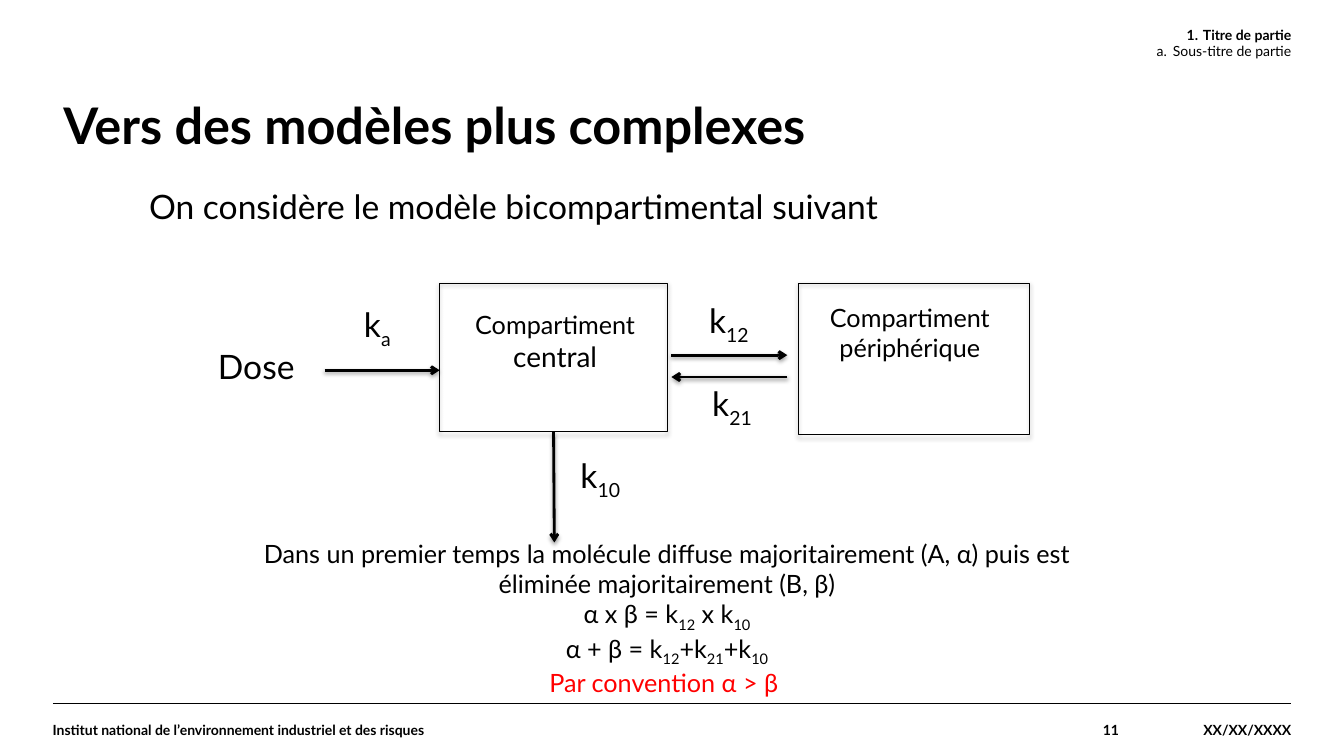
from lxml.etree import SubElement
from pptx import Presentation
from pptx.dml.color import RGBColor
from pptx.enum.shapes import MSO_CONNECTOR, MSO_SHAPE
from pptx.enum.text import MSO_ANCHOR, MSO_AUTO_SIZE, PP_ALIGN
from pptx.oxml.ns import qn
from pptx.util import Cm, Pt

FONT = "Lato"
BLACK, RED = "000000", "FF0000"
LEFT, CENTER, RIGHT = PP_ALIGN.LEFT, PP_ALIGN.CENTER, PP_ALIGN.RIGHT


def color(hex_code):
    return RGBColor.from_string(hex_code)


def write(paragraph, text, size=24, bold=False, ink=BLACK, align=CENTER):
    """Add text to a paragraph; parts between underscores are subscripts."""
    paragraph.alignment = align
    for position, part in enumerate(text.split("_")):
        if not part:
            continue
        run = paragraph.add_run()
        run.text = part
        run.font.name, run.font.size, run.font.bold = FONT, Pt(size), bold
        run.font.color.rgb = color(ink)
        if position % 2:
            run._r.get_or_add_rPr().set("baseline", "-25000")


def set_margins(frame, margin):
    frame.margin_left = frame.margin_right = margin
    frame.margin_top = frame.margin_bottom = margin


def add_label(slide, left, top, width, height, text="", **format_):
    """Add a wrapping text box that grows with its text."""
    box = slide.shapes.add_textbox(Cm(left), Cm(top), Cm(width), Cm(height))
    frame = box.text_frame
    frame.word_wrap = True
    frame.auto_size = MSO_AUTO_SIZE.SHAPE_TO_FIT_TEXT
    write(frame.paragraphs[0], text, **format_)
    return frame


def add_margin_text(slide, left, top, width, text="", **format_):
    """Add a small text without insets, for the header and footer."""
    frame = add_label(slide, left, top, width, 1.32, text, size=10, **format_)
    frame.auto_size = MSO_AUTO_SIZE.NONE
    frame.vertical_anchor = MSO_ANCHOR.MIDDLE
    set_margins(frame, 0)
    return frame


def number_paragraph(paragraph, scheme):
    properties = paragraph._p.get_or_add_pPr()
    properties.set("marL", str(Cm(0.41)))
    properties.set("indent", str(-Cm(0.41)))
    SubElement(properties, qn("a:buFont"), typeface="+mj-lt")
    SubElement(properties, qn("a:buAutoNum"), type=scheme)


def add_shadow(element, opacity, distance):
    effects = SubElement(element.spPr, qn("a:effectLst"))
    shadow = SubElement(effects, qn("a:outerShdw"), blurRad=str(Pt(3.1)),
                        dist=str(Pt(distance)), dir="5400000", rotWithShape="0")
    tint = SubElement(shadow, qn("a:srgbClr"), val=BLACK)
    SubElement(tint, qn("a:alpha"), val=str(opacity * 1000))


def add_compartment(slide, left, top, width, height):
    compartment = slide.shapes.add_shape(
        MSO_SHAPE.RECTANGLE, Cm(left), Cm(top), Cm(width), Cm(height))
    compartment.fill.background()
    compartment.line.color.rgb = color(BLACK)
    compartment.line.width = Pt(0.75)
    add_shadow(compartment._element, 35, 1.8)
    return compartment


def add_line(slide, x1, y1, x2, y2, weight):
    line = slide.shapes.add_connector(
        MSO_CONNECTOR.STRAIGHT, Cm(x1), Cm(y1), Cm(x2), Cm(y2))
    line.line.color.rgb = color(BLACK)
    line.line.width = Pt(weight)
    return line


def add_flow(slide, x1, y1, x2, y2):
    """Add an arrow for a transfer of the molecule."""
    flow = add_line(slide, x1, y1, x2, y2, 2)
    SubElement(flow.line._get_or_add_ln(), qn("a:tailEnd"), type="arrow")
    add_shadow(flow._element, 38, 1.6)
    return flow


def add_title(slide, text):
    title = slide.shapes.title
    title.left, title.top = Cm(1.6), Cm(2.54)
    title.width, title.height = Cm(31.19), Cm(2.01)
    frame = title.text_frame
    frame.vertical_anchor = MSO_ANCHOR.TOP
    set_margins(frame, 0)
    frame.paragraphs[0].line_spacing = 0.9
    write(frame.paragraphs[0], text, size=36, bold=True, align=LEFT)


def add_header_and_footer(slide):
    header = add_margin_text(slide, 12.27, 0.66, 20.27)
    header.vertical_anchor = MSO_ANCHOR.TOP
    part, subpart = header.paragraphs[0], header.add_paragraph()
    number_paragraph(part, "arabicPeriod")
    number_paragraph(subpart, "alphaLcPeriod")
    write(part, "Titre de partie", size=10, bold=True, align=RIGHT)
    write(subpart, "Sous-titre de partie", size=10, align=RIGHT)

    rule = add_line(slide, 1.33, 17.73, 32.54, 17.73, 0.8)
    SubElement(rule._element.spPr, qn("a:effectLst"))
    for left, width, text, align in (
        (1.33, 21.87, "Institut national de l’environnement industriel et des risques", LEFT),
        (23.2, 5, "11", RIGHT),
        (28.2, 4.34, "XX/XX/XXXX", RIGHT),
    ):
        add_margin_text(slide, left, 17.73, width, text, bold=True, align=align)


def add_model(slide):
    # Compartments and their names
    central = add_compartment(slide, 11.08, 7.14, 5.74, 3.74)
    add_compartment(slide, 20.13, 7.14, 5.82, 3.82)
    central_name = add_label(slide, 11.08, 7.59, 5.82, 1.96, "Compartiment", size=18)
    write(central_name.paragraphs[0], " central", size=20)
    add_label(slide, 20.02, 7.5, 5.82, 1.88, "Compartiment périphérique", size=18)

    # Transfers
    add_flow(slide, 8.18, 9.33, 11.08, 9.33)
    add_flow(slide, 16.92, 8.95, 19.84, 8.95)
    add_flow(slide, 19.84, 9.5, 16.92, 9.5)
    elimination = add_flow(slide, 13.95, 10.88, 13.97, 13.67)
    elimination.begin_connect(central, 2)

    # Dose and rate constants
    for left, top, width, text in (
        (4.95, 8.59, 3.02, "Dose"),
        (8.51, 7.54, 2, "k_a_"),
        (17.37, 7.44, 2, "k_12_"),
        (17.45, 9.53, 2, "k_21_"),
        (12.4, 11.35, 5.46, "k_10_"),
    ):
        add_label(slide, left, top, width, 1.27, text)


def add_conclusions(slide):
    conclusions = add_label(
        slide, 5.56, 13.44, 22.5, 4.11,
        "Dans un premier temps la molécule diffuse majoritairement (A, α) "
        "puis est éliminée majoritairement (B, β)", size=18)
    for text, ink in (
        ("α x β = k_12_ x k_10_", BLACK),
        ("α + β = k_12_+k_21_+k_10_", BLACK),
        ("Par convention α > β ", RED),
    ):
        write(conclusions.add_paragraph(), text, size=18, ink=ink)


def main():
    deck = Presentation()
    deck.slide_width, deck.slide_height = Cm(33.87), Cm(19.05)
    slide = deck.slides.add_slide(deck.slide_layouts[5])

    add_title(slide, "Vers des modèles plus complexes")
    add_header_and_footer(slide)
    add_label(slide, 1.33, 4.57, 23.22, 1.27,
              "On considère le modèle bicompartimental suivant")
    add_model(slide)
    add_conclusions(slide)
    deck.save("out.pptx")


if __name__ == "__main__":
    main()
